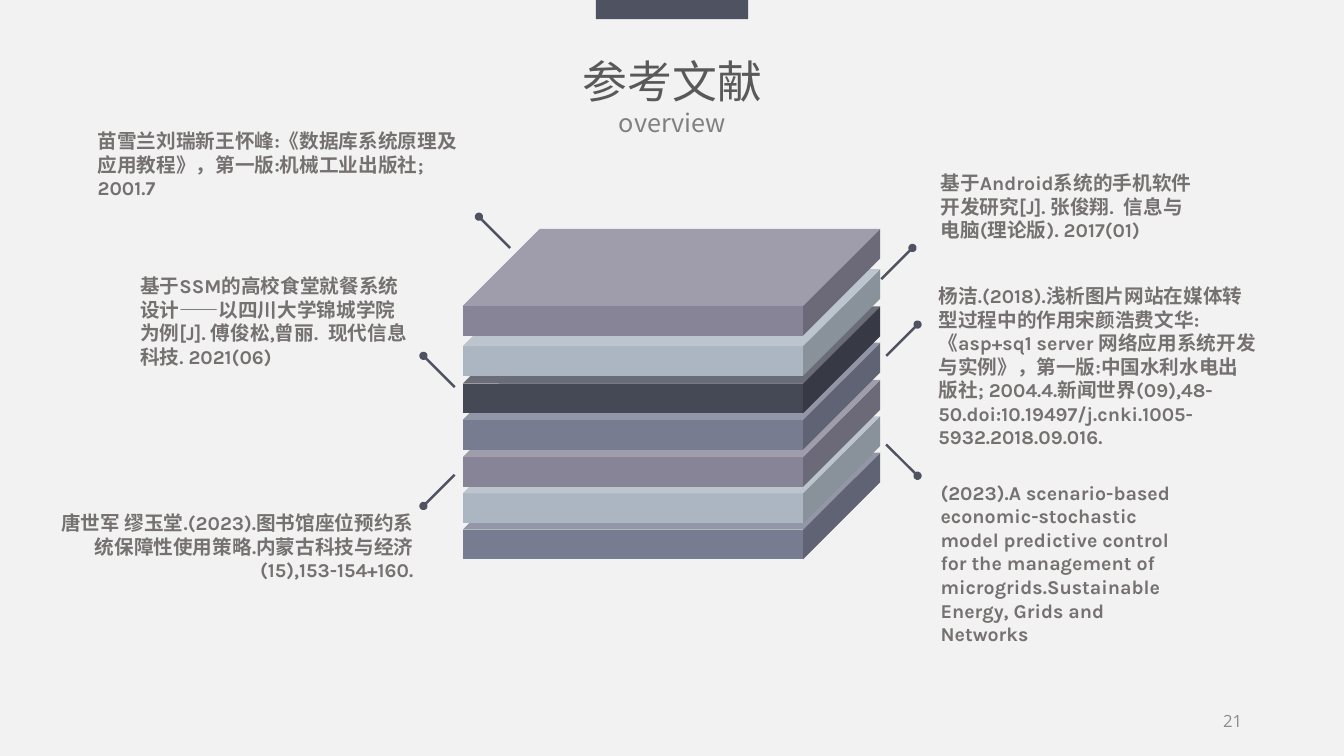
"""Build the reference list slide: a stack of slabs with six cited works around it."""
from dataclasses import dataclass

from lxml.etree import SubElement
from pptx import Presentation
from pptx.dml.color import RGBColor
from pptx.enum.shapes import MSO_CONNECTOR as Connector, MSO_SHAPE as Shape
from pptx.enum.text import MSO_ANCHOR as Anchor, MSO_AUTO_SIZE as AutoSize, PP_ALIGN as Align
from pptx.oxml.ns import qn
from pptx.slide import Slide
from pptx.util import Inches, Pt

CJK_FONT = "Noto Sans CJK SC"
ACCENT = "4F5261"
PIN_SIZE = 0.31
MAUVE, MIST, SLATE, CHARCOAL = "878497", "ACB6C2", "777C91", "454855"


@dataclass
class Slab:
    top: float
    color: str


@dataclass
class Pin:
    dot_x: float
    dot_y: float
    across: int
    down: int


@dataclass
class Line:
    text: str
    size: int
    font: str
    color: str
    bold: bool = False


@dataclass
class TextBlock:
    left: float
    top: float
    width: float
    height: float
    lines: list[Line]
    align: Align = Align.LEFT
    anchor: Anchor = Anchor.TOP
    wrap: bool = True


def reference(left: float, top: float, width: float, height: float, text: str,
              align: Align = Align.LEFT) -> TextBlock:
    """Describe one cited work."""
    return TextBlock(left, top, width, height, [Line(text, 14, "Karla", "767171", True)], align)


SLABS = [
    Slab(4.49, SLATE), Slab(4.13, MIST), Slab(3.77, MAUVE), Slab(3.4, SLATE),
    Slab(3.04, CHARCOAL), Slab(2.67, MIST), Slab(2.27, MAUVE),
]
PINS = [
    Pin(4.75, 2.15, 1, 1), Pin(4.2, 3.53, 1, 1), Pin(4.2, 5.02, 1, -1),
    Pin(9.05, 2.46, -1, 1), Pin(9.1, 3.22, -1, 1), Pin(9.1, 4.72, -1, -1),
]
TEXT_BLOCKS = [
    TextBlock(5.68, 0.48, 1.98, 0.94,
              [Line("参考文献", 32, CJK_FONT, "595959"), Line("overview", 18, CJK_FONT, "808080")],
              Align.CENTER, wrap=False),
    TextBlock(11.99, 6.95, 0.43, 0.4, [Line("21", 12, "Open Sans", "8C8C8C")],
              Align.RIGHT, Anchor.MIDDLE),
    reference(0.87, 1.23, 3.88, 0.81,
              "苗雪兰刘瑞新王怀峰:《数据库系统原理及应用教程》，第一版:机械工业出版社; 2001.7"),
    reference(1.29, 2.67, 2.91, 1.04,
              "基于SSM的高校食堂就餐系统设计——以四川大学锦城学院为例[J]. 傅俊松,曾丽.  现代信息科技. 2021(06)"),
    reference(0.33, 5.02, 3.87, 0.81,
              "唐世军 缪玉堂.(2023).图书馆座位预约系统保障性使用策略.内蒙古科技与经济(15),153-154+160.",
              Align.RIGHT),
    reference(9.23, 1.65, 2.69, 0.81,
              "基于Android系统的手机软件开发研究[J]. 张俊翔.  信息与电脑(理论版). 2017(01)"),
    reference(9.21, 2.77, 3.36, 1.75,
              "杨洁.(2018).浅析图片网站在媒体转型过程中的作用宋颜浩费文华:《asp+sq1 server 网络应用系统开发与实例》，"
              "第一版:中国水利水电出版社; 2004.4.新闻世界(09),48-50.doi:10.19497/j.cnki.1005-5932.2018.09.016."),
    reference(9.23, 4.72, 2.69, 1.75,
              "(2023).A scenario-based economic-stochastic model predictive control for the management of "
              "microgrids.Sustainable Energy, Grids and Networks"),
]


def rgb(color: str) -> RGBColor:
    """Turn a hex string into a colour."""
    return RGBColor.from_string(color)


def add_solid(slide: Slide, kind: Shape, left: float, top: float, width: float, height: float,
              color: str):
    """Add a filled shape without outline or shadow."""
    shape = slide.shapes.add_shape(kind, Inches(left), Inches(top), Inches(width), Inches(height))
    shape.shadow.inherit = False
    shape.fill.solid()
    shape.fill.fore_color.rgb = rgb(color)
    shape.line.fill.background()
    return shape


def add_slab(slide: Slide, slab: Slab) -> None:
    """Add one layer of the stack."""
    cube = add_solid(slide, Shape.CUBE, 4.59, slab.top, 4.14, 1.06, slab.color)
    cube.adjustments[0] = 0.722


def add_pin(slide: Slide, pin: Pin) -> None:
    """Add a diagonal line that ends in a dot."""
    connector = slide.shapes.add_connector(
        Connector.STRAIGHT,
        Inches(pin.dot_x + pin.across * PIN_SIZE), Inches(pin.dot_y + pin.down * PIN_SIZE),
        Inches(pin.dot_x), Inches(pin.dot_y))
    connector.line.color.rgb = rgb(ACCENT)
    connector.line.width = Pt(1.75)
    SubElement(connector.line._get_or_add_ln(), qn("a:tailEnd"), type="oval")
    SubElement(connector._element.spPr, qn("a:effectLst"))


def add_text_block(slide: Slide, block: TextBlock) -> None:
    """Add a text box with one paragraph per line."""
    box = slide.shapes.add_textbox(
        Inches(block.left), Inches(block.top), Inches(block.width), Inches(block.height))
    frame = box.text_frame
    frame.word_wrap = block.wrap
    frame.vertical_anchor = block.anchor
    if block.anchor == Anchor.TOP:
        frame.auto_size = AutoSize.SHAPE_TO_FIT_TEXT
    for index, line in enumerate(block.lines):
        paragraph = frame.add_paragraph() if index else frame.paragraphs[0]
        paragraph.alignment = block.align
        run = paragraph.add_run()
        run.text = line.text
        run.font.size = Pt(line.size)
        run.font.bold = line.bold
        run.font.color.rgb = rgb(line.color)
        run.font.name = line.font
        SubElement(run._r.get_or_add_rPr(), qn("a:ea"), typeface=CJK_FONT)


def main() -> None:
    """Draw the slide and save it."""
    presentation = Presentation()
    presentation.slide_width, presentation.slide_height = Inches(13.33), Inches(7.5)
    slide = presentation.slides.add_slide(presentation.slide_layouts[6])
    slide.background.fill.solid()
    slide.background.fill.fore_color.rgb = rgb("F2F2F2")
    add_solid(slide, Shape.RECTANGLE, 5.91, 0, 1.51, 0.19, ACCENT)
    for slab in SLABS:
        add_slab(slide, slab)
    for pin in PINS:
        add_pin(slide, pin)
    for block in TEXT_BLOCKS:
        add_text_block(slide, block)
    presentation.save("out.pptx")


if __name__ == "__main__":
    main()
